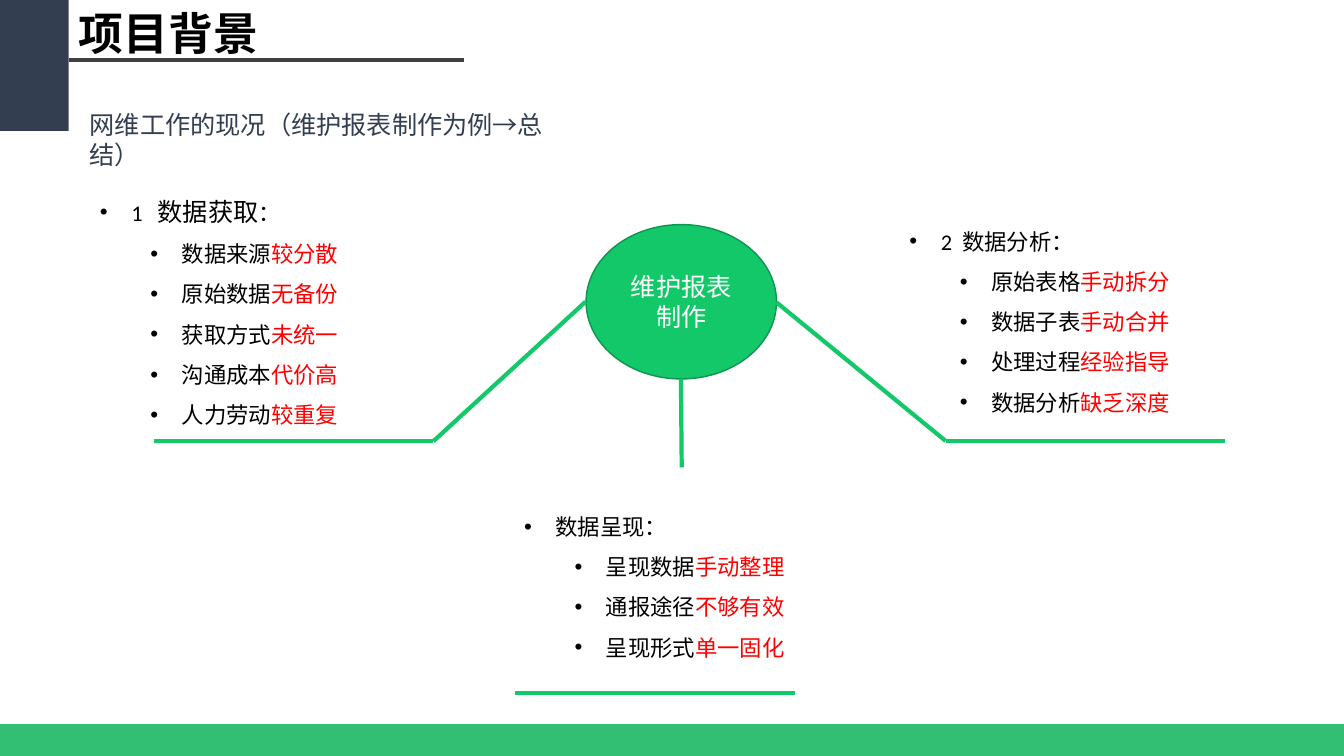
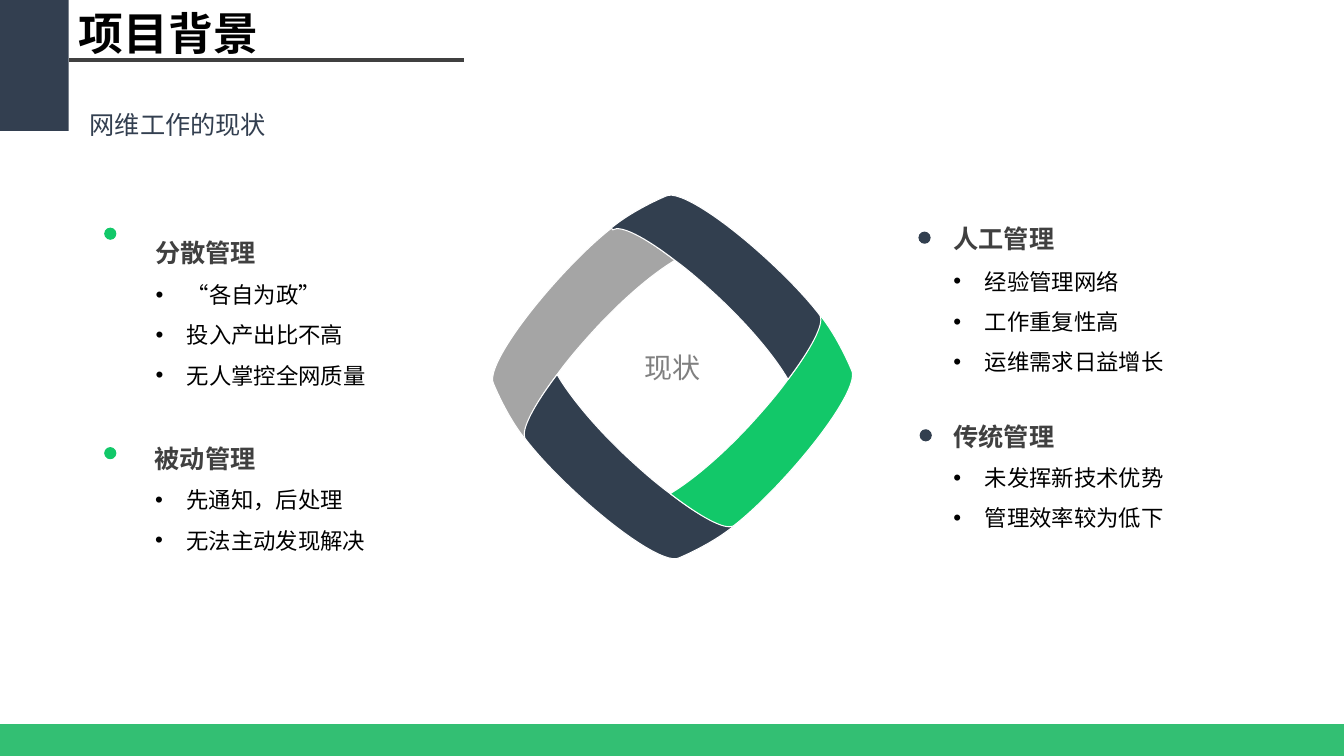
from dataclasses import dataclass

from lxml import etree
from pptx import Presentation
from pptx.dml.color import RGBColor
from pptx.enum.shapes import MSO_CONNECTOR, MSO_SHAPE
from pptx.enum.text import MSO_ANCHOR, MSO_AUTO_SIZE, PP_ALIGN
from pptx.oxml.ns import qn
from pptx.util import Cm, Pt

RECTANGLE = MSO_SHAPE.RECTANGLE
OVAL = MSO_SHAPE.OVAL
STRAIGHT = MSO_CONNECTOR.STRAIGHT
CENTER = PP_ALIGN.CENTER
LEFT = PP_ALIGN.LEFT
TOP = MSO_ANCHOR.TOP
MIDDLE = MSO_ANCHOR.MIDDLE
GROW = MSO_AUTO_SIZE.SHAPE_TO_FIT_TEXT

COLORS = {
    "black": "000000",
    "white": "FFFFFF",
    "navy": "333F50",
    "slate": "323F4F",
    "rule": "404040",
    "green": "12C869",
    "green_edge": "0D944E",
    "footer": "00B050",
    "silver": "A5A5A5",
    "gray": "808080",
    "alert": "FF0000",
    "coral": "ED5463",
    "lime": "A1D469",
}
LATIN = "Calibri"
HEADING = "Arial"
CJK = "Noto Sans CJK SC"
PAGE_WIDTH, PAGE_HEIGHT = 33.87, 19.05
FOOTER_TOP = 18.25
HANGING = 0.79
LEVEL_STEP = 1.27

RING_CENTER = (16.95, 9.5)
RING_STRETCH = 1.01
RING_PARTS = (("silver", None), ("slate", "coral"), ("green", None), ("slate", "lime"))
BLADE = (
    (0.06, -2.91),
    (-0.47, -2.6), (-1.21, -1.99), (-1.94, -1.21),
    (-2.32, -0.8), (-2.65, -0.42), (-2.91, -0.06),
    (-3.49, 0.7), (-3.8, 1.31), (-3.67, 1.51),
    (-3.72, 1.54), (-3.72, 1.54), (-3.72, 1.54),
    (-4.18, 0.98), (-4.51, 0.17), (-4.51, 0.17),
    (-4.69, -0.14), (-3.92, -1.33), (-2.78, -2.55),
    (-2.35, -3.01), (-1.92, -3.42), (-1.53, -3.72),
    (-1.31, -3.82), (-0.7, -3.49), (0.06, -2.91),
)
SEAM = (
    (-3.72, 1.54),
    (-3.73, 1.53), (-3.73, 1.52), (-3.73, 1.52),
    (-3.72, 1.53), (-3.71, 1.54), (-3.72, 1.54),
)


@dataclass(frozen=True)
class Box:
    """Position and size in centimetres."""

    left: float
    top: float
    width: float
    height: float


@dataclass(frozen=True)
class Span:
    """A stretch of uniformly formatted text."""

    text: str
    size: float = 16
    color: str = "black"
    font: str = LATIN
    bold: bool = False
    tracking: int = 0


@dataclass(frozen=True)
class Finding:
    """A bulleted list of plain and highlighted phrases."""

    box: Box
    heading: tuple
    items: tuple
    inset: float = 0.13


@dataclass(frozen=True)
class Practice:
    """A management style with its marker, heading and bullets."""

    marker: tuple
    color: str
    heading: str
    heading_box: Box
    items: tuple
    items_box: Box


FINDINGS = (
    Finding(
        Box(2.27, 4.44, 8.33, 6.53),
        (Span("1 ", tracking=360), Span("数据获取", 18), Span("：")),
        (("数据来源", "较分散"), ("原始数据", "无备份"), ("获取方式", "未统一"),
         ("沟通成本", "代价高"), ("人力劳动", "较重复")),
    ),
    Finding(
        Box(22.67, 5.27, 7.42, 5.38),
        (Span("2 ", tracking=180), Span("数据分析：")),
        (("原始表格", "手动拆分"), ("数据子表", "手动合并"),
         ("处理过程", "经验指导"), ("数据分析", "缺乏深度")),
    ),
    Finding(
        Box(12.96, 11.79, 8.43, 5.38),
        (Span("数据呈现："),),
        (("呈现数据", "手动整理"), ("通报途径", "不够有效"), ("呈现形式", "单一固化")),
        0.8,
    ),
)
BRANCHES = (
    ((3.87, 11.11), (10.92, 11.11)),
    ((10.92, 11.12), (14.76, 7.6)),
    ((17.18, 11.78), (17.16, 9.55)),
    ((12.98, 17.47), (20.03, 17.47)),
    ((23.83, 11.12), (30.88, 11.12)),
    ((23.83, 11.11), (19.57, 7.62)),
)
PRACTICES = (
    Practice((2.64, 5.75), "green", "分散管理", Box(3.66, 5.86, 3.89, 1.02),
             ("“各自为政”", "投入产出比不高", "无人掌控全网质量"),
             Box(3.67, 6.62, 6.35, 3.33)),
    Practice((2.64, 11.28), "green", "被动管理", Box(3.65, 11.05, 4.98, 1.02),
             ("先通知，后处理", "无法主动发现解决"),
             Box(3.66, 11.79, 6.76, 2.31)),
    Practice((23.16, 5.85), "slate", "人工管理", Box(23.78, 5.51, 4.37, 1.02),
             ("经验管理网络", "工作重复性高", "运维需求日益增长"),
             Box(23.78, 6.28, 6.6, 3.23)),
    Practice((23.19, 10.83), "slate", "传统管理", Box(23.78, 10.49, 3.89, 1.02),
             ("未发挥新技术优势", "管理效率较为低下"),
             Box(23.78, 11.23, 7.49, 2.31)),
)


def rgb(color: str) -> RGBColor:
    """Look up a named colour."""
    return RGBColor.from_string(COLORS[color])


def place(box: Box) -> tuple:
    """Convert a box to slide lengths."""
    return Cm(box.left), Cm(box.top), Cm(box.width), Cm(box.height)


def paint(shape, fill: str, outline: str | None = None, weight: float = 0.75) -> None:
    """Fill and outline a shape without a shadow."""
    shape.shadow.inherit = False
    shape.fill.solid()
    shape.fill.fore_color.rgb = rgb(fill)
    if outline is None:
        shape.line.fill.background()
    else:
        shape.line.color.rgb = rgb(outline)
        shape.line.width = Pt(weight)


def add_figure(slide, preset, box: Box, fill: str, outline: str | None = None, weight: float = 0.75):
    """Add a painted preset shape."""
    shape = slide.shapes.add_shape(preset, *place(box))
    paint(shape, fill, outline, weight)
    return shape


def add_line(slide, start: tuple, end: tuple, color: str) -> None:
    """Add a straight three-point line."""
    line = slide.shapes.add_connector(STRAIGHT, *map(Cm, start + end))
    line.line.color.rgb = rgb(color)
    line.line.width = Pt(3)
    etree.SubElement(line.element.spPr, qn("a:effectLst"))


def write_spans(paragraph, spans: tuple) -> None:
    """Write formatted runs into a paragraph."""
    for span in spans:
        run = paragraph.add_run()
        run.text = span.text
        run.font.size = Pt(span.size)
        run.font.bold = span.bold
        run.font.color.rgb = rgb(span.color)
        run.font.name = span.font
        properties = run.font._element
        etree.SubElement(properties, qn("a:ea"), typeface=CJK)
        if span.tracking:
            properties.set("spc", str(span.tracking))


def add_frame(slide, box: Box):
    """Add a wrapping text box that grows with its text."""
    frame = slide.shapes.add_textbox(*place(box)).text_frame
    frame.word_wrap = True
    frame.auto_size = GROW
    return frame


def add_text(slide, box: Box, *spans: Span, align=LEFT, anchor=TOP) -> None:
    """Add a text box with one paragraph."""
    frame = add_frame(slide, box)
    frame.vertical_anchor = anchor
    frame.paragraphs[0].alignment = align
    write_spans(frame.paragraphs[0], spans)


def add_bullets(slide, box: Box, entries: list, inset: float = 0.13) -> None:
    """Add a bulleted text box from pairs of level and spans."""
    frame = add_frame(slide, box)
    frame.margin_top = Cm(inset)
    for index, (level, spans) in enumerate(entries):
        paragraph = frame.add_paragraph() if index else frame.paragraphs[0]
        paragraph.level = level
        paragraph.line_spacing = 1.5
        properties = paragraph._p.get_or_add_pPr()
        properties.set("marL", str(Cm(HANGING + level * LEVEL_STEP)))
        properties.set("indent", str(-Cm(HANGING)))
        etree.SubElement(properties, qn("a:buFont"), typeface=HEADING)
        etree.SubElement(properties, qn("a:buChar"), char="•")
        write_spans(paragraph, spans)


def add_page(deck, subtitle: str, subtitle_width: float):
    """Add a slide with the shared title, bands and subtitle."""
    slide = deck.slides.add_slide(deck.slide_layouts[6])
    add_figure(slide, RECTANGLE, Box(0, 0, 1.73, 3.3), "navy")
    add_text(slide, Box(1.74, 0.03, 5.11, 1.63), Span("项目背景", 32, font=CJK, bold=True))
    add_line(slide, (1.74, 1.51), (11.69, 1.51), "rule")
    add_text(slide, Box(2.01, 2.62, subtitle_width, 1.02), Span(subtitle, 18, "navy"))
    footer = add_figure(slide, RECTANGLE, Box(0, FOOTER_TOP, PAGE_WIDTH, PAGE_HEIGHT - FOOTER_TOP), "footer")
    tint = footer.element.spPr.find(qn("a:solidFill"))[0]
    etree.SubElement(tint, qn("a:alpha"), val="80000")
    return slide


def add_curved_shape(slide, points: tuple, color: str) -> None:
    """Draw a closed outline of cubic curves around the ring centre."""
    center_x, center_y = RING_CENTER
    vertices = [(Cm(center_x + x), Cm(center_y + y * RING_STRETCH)) for x, y in points]
    builder = slide.shapes.build_freeform(*vertices[0])
    builder.add_line_segments(vertices[1:], close=True)
    shape = builder.convert_to_shape()
    paint(shape, color, "white")
    segments = list(shape.element.iter(qn("a:lnTo")))
    for first in range(0, len(segments), 3):
        curve = etree.Element(qn("a:cubicBezTo"))
        segments[first].addprevious(curve)
        for segment in segments[first:first + 3]:
            curve.append(segment[0])
            segment.getparent().remove(segment)


def add_ring(slide) -> None:
    """Draw four interlocking blades, each a quarter turn on."""
    blade, seam = BLADE, tuple((-y, x) for x, y in SEAM)
    for blade_color, seam_color in RING_PARTS:
        add_curved_shape(slide, blade, blade_color)
        if seam_color:
            add_curved_shape(slide, seam, seam_color)
        blade, seam = (tuple((y, -x) for x, y in outline) for outline in (blade, seam))


def build_findings(deck) -> None:
    """Build the report-making slide."""
    slide = add_page(deck, "网维工作的现况（维护报表制作为例→总结）", 13.16)
    hub = add_figure(slide, OVAL, Box(14.77, 5.66, 4.8, 3.89), "green", "green_edge", 1)
    hub.text_frame.vertical_anchor = MIDDLE
    hub.text_frame.paragraphs[0].alignment = CENTER
    write_spans(hub.text_frame.paragraphs[0], (Span("维护报表制作", 18, "white"),))
    for start, end in BRANCHES:
        add_line(slide, start, end, "green")
    for finding in FINDINGS:
        items = [(1, (Span(plain), Span(alert, color="alert"))) for plain, alert in finding.items]
        add_bullets(slide, finding.box, [(0, finding.heading), *items], finding.inset)


def build_practices(deck) -> None:
    """Build the current-state slide."""
    slide = add_page(deck, "网维工作的现状", 10.95)
    add_ring(slide)
    add_text(slide, Box(15.52, 8.75, 2.84, 1), Span("现状", 20, "gray"), align=CENTER, anchor=MIDDLE)
    for practice in PRACTICES:
        add_figure(slide, OVAL, Box(*practice.marker, 0.28, 0.28), practice.color, practice.color)
        add_text(slide, practice.heading_box, Span(practice.heading, 18, "rule", HEADING, True))
        add_bullets(slide, practice.items_box, [(0, (Span(item, font=CJK),)) for item in practice.items])


def main() -> None:
    """Build and save the deck."""
    deck = Presentation()
    deck.slide_width, deck.slide_height = Cm(PAGE_WIDTH), Cm(PAGE_HEIGHT)
    build_findings(deck)
    build_practices(deck)
    deck.save("out.pptx")


if __name__ == "__main__":
    main()
